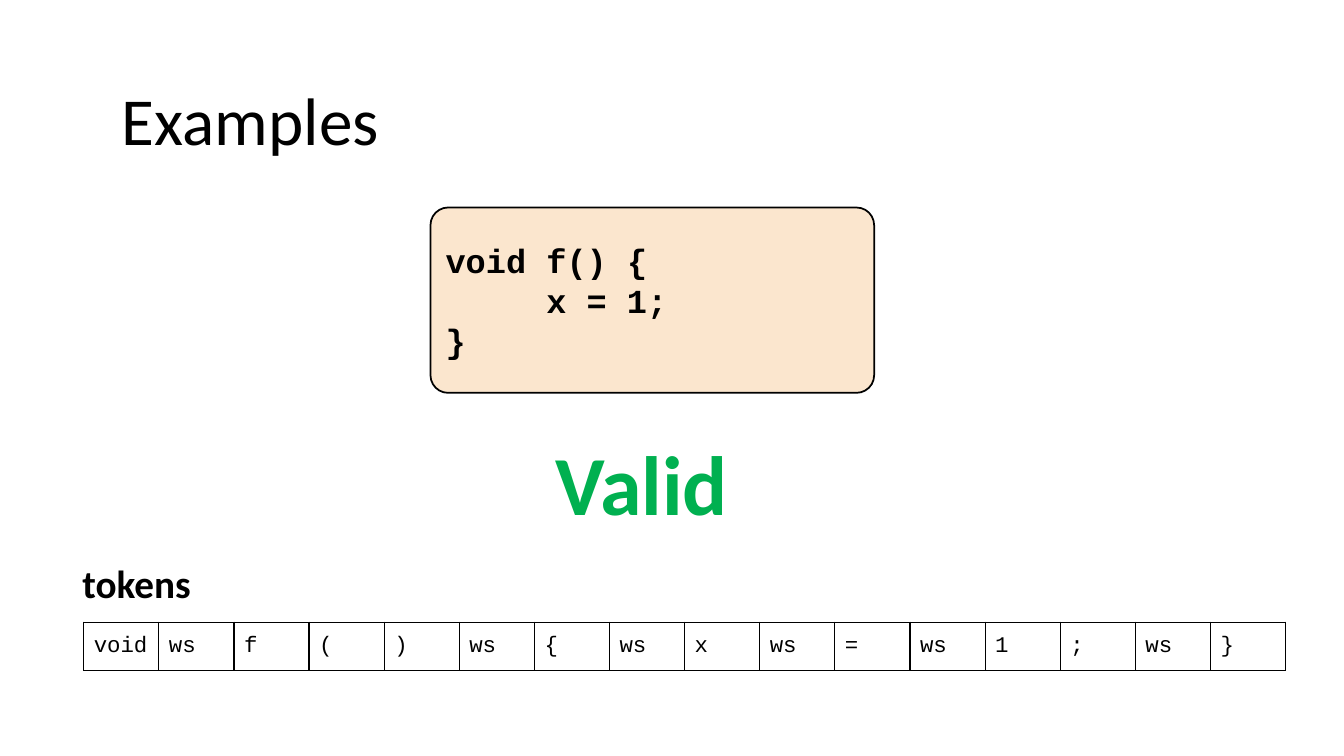
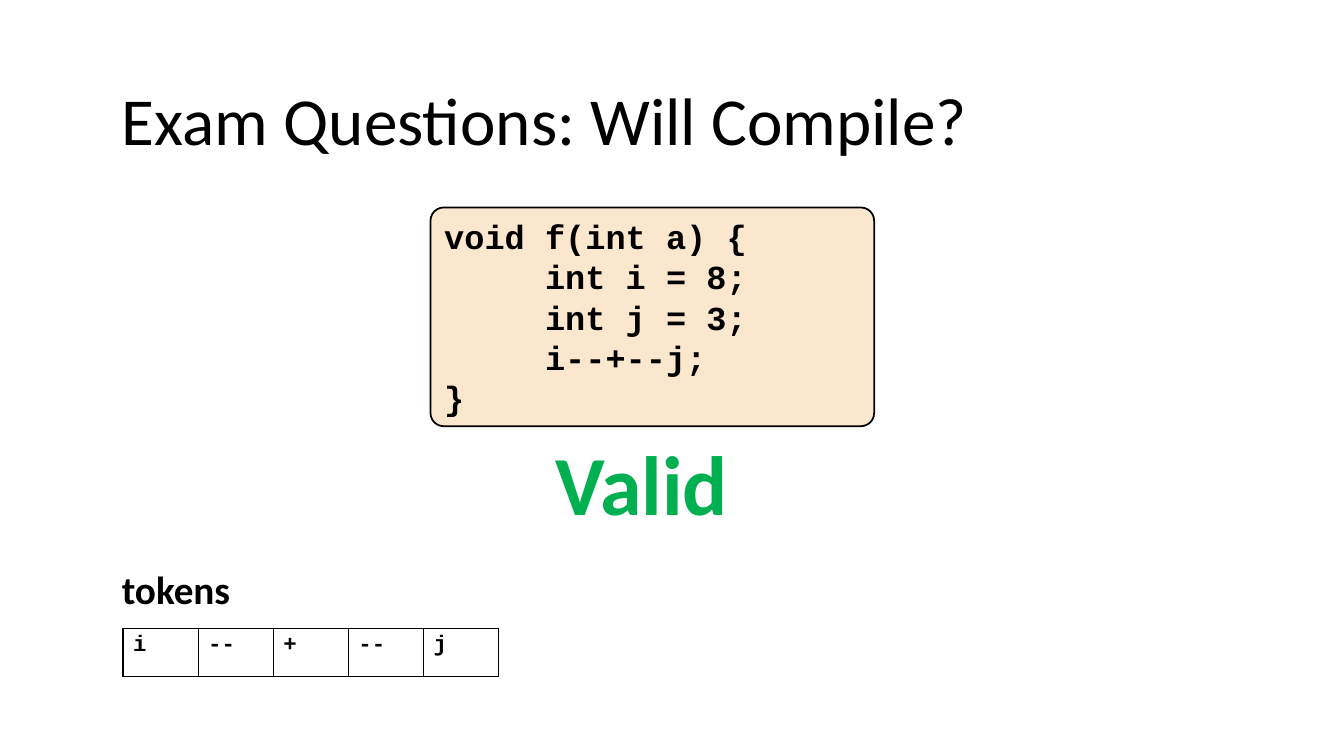
from dataclasses import dataclass

from lxml import etree
from pptx import Presentation
from pptx import util as u
from pptx.dml.color import RGBColor
from pptx.enum import shapes, text
from pptx.oxml import ns

BLACK, GREEN, CREAM = "000000", "00B050", "FBE6CE"
BODY_FONT, CODE_FONT = "Calibri", "Courier New"
TITLE_ONLY = 5
CELL_WIDTH, CELL_HEIGHT = u.Cm(30.3 / 16), u.Cm(1.21)
CODE_INDENT = u.Cm(2.54)


@dataclass(frozen=True)
class Area:
    """A rectangle in centimetres."""
    left: float
    top: float
    width: float
    height: float

    def lengths(self) -> tuple:
        return tuple(u.Cm(n) for n in (self.left, self.top, self.width, self.height))


@dataclass(frozen=True)
class Style:
    size: float
    font: str = BODY_FONT
    color: str = BLACK
    bold: bool = False
    align: text.PP_ALIGN = text.PP_ALIGN.LEFT


@dataclass(frozen=True)
class Example:
    title: str
    code: str
    code_height: float
    corner: float
    tokens: list
    tokens_left: float
    tokens_top: float
    token_style: Style
    token_anchor: text.MSO_ANCHOR


TITLE_AREA = Area(2.82, 1.85, 28.17, 2.31)
VERDICT_AREA = Area(13.04, 10.74, 6.25, 5.38)
TITLE = Style(48)
VERDICT = Style(60, color=GREEN, bold=True, align=text.PP_ALIGN.CENTER)
CODE = Style(24, CODE_FONT, bold=True)
LABEL = Style(28, bold=True)

EXAMPLES = [
    Example("Examples", "void f() {\n\tx = 1;\n}", 4.67, 0.095,
            "void ws f ( ) ws { ws x ws = ws 1 ; ws }".split(), 1.83, 13.97,
            Style(16, CODE_FONT), text.MSO_ANCHOR.MIDDLE),
    Example("Exam Questions: Will Compile?",
            "void f(int a) {\n\tint i = 8;\n\tint j = 3;\n\ti--+--j;\n}", 5.51, 0.06,
            "i -- + -- j".split(), 2.82, 14.12,
            Style(16, CODE_FONT, bold=True), text.MSO_ANCHOR.TOP),
]


def rgb(color: str) -> RGBColor:
    return RGBColor.from_string(color)


def write(frame, content: str, style: Style) -> None:
    frame.text = content
    for para in frame.paragraphs:
        para.alignment = style.align
        para.font.name = style.font
        para.font.size = u.Pt(style.size)
        para.font.bold = style.bold
        para.font.color.rgb = rgb(style.color)


def fill_box(box, content: str, style: Style, anchor=text.MSO_ANCHOR.TOP) -> None:
    frame = box.text_frame
    frame.word_wrap = True
    frame.auto_size = text.MSO_AUTO_SIZE.NONE
    frame.vertical_anchor = anchor
    write(frame, content, style)


def add_title(page, title: str) -> None:
    box = page.shapes.title
    box.left, box.top, box.width, box.height = TITLE_AREA.lengths()
    fill_box(box, title, TITLE)


def add_label(page, area: Area, content: str, style: Style) -> None:
    fill_box(page.shapes.add_textbox(*area.lengths()), content, style)


def set_tab_stop(para, position: int) -> None:
    stops = etree.Element(ns.qn("a:tabLst"))
    etree.SubElement(stops, ns.qn("a:tab"), pos=str(position), algn="l")
    para._p.get_or_add_pPr().insert(0, stops)


def add_code(page, example: Example) -> None:
    area = Area(10.85, 5.23, 11.18, example.code_height)
    box = page.shapes.add_shape(shapes.MSO_SHAPE.ROUNDED_RECTANGLE, *area.lengths())
    box.adjustments[0] = example.corner
    box.shadow.inherit = False
    box.fill.solid()
    box.fill.fore_color.rgb = rgb(CREAM)
    box.line.color.rgb = rgb(BLACK)
    box.line.width = u.Pt(1.25)
    fill_box(box, example.code, CODE, text.MSO_ANCHOR.MIDDLE)
    for para in box.text_frame.paragraphs:
        set_tab_stop(para, CODE_INDENT)


def add_borders(cell) -> None:
    properties = cell._tc.get_or_add_tcPr()
    for side in ("a:lnL", "a:lnR", "a:lnT", "a:lnB"):
        line = etree.SubElement(properties, ns.qn(side), w=str(u.Pt(1)))
        solid = etree.SubElement(line, ns.qn("a:solidFill"))
        etree.SubElement(solid, ns.qn("a:srgbClr"), val=BLACK)


def add_tokens(page, example: Example) -> None:
    left, top = example.tokens_left, example.tokens_top
    add_label(page, Area(left, top, 4.9, 1.45), "tokens", LABEL)
    count = len(example.tokens)
    table = page.shapes.add_table(1, count, u.Cm(left + 0.28), u.Cm(top + 1.71),
                                  CELL_WIDTH * count, CELL_HEIGHT).table
    table.first_row = table.horz_banding = False
    for column, token in enumerate(example.tokens):
        table.columns[column].width = CELL_WIDTH
        cell = table.cell(0, column)
        add_borders(cell)
        cell.fill.background()
        cell.vertical_anchor = example.token_anchor
        write(cell.text_frame, token, example.token_style)


def main() -> None:
    deck = Presentation()
    deck.slide_width, deck.slide_height = u.Cm(33.87), u.Cm(19.05)
    for example in EXAMPLES:
        page = deck.slides.add_slide(deck.slide_layouts[TITLE_ONLY])
        add_title(page, example.title)
        add_label(page, VERDICT_AREA, "Valid", VERDICT)
        add_code(page, example)
        add_tokens(page, example)
    deck.save("out.pptx")


if __name__ == "__main__":
    main()
